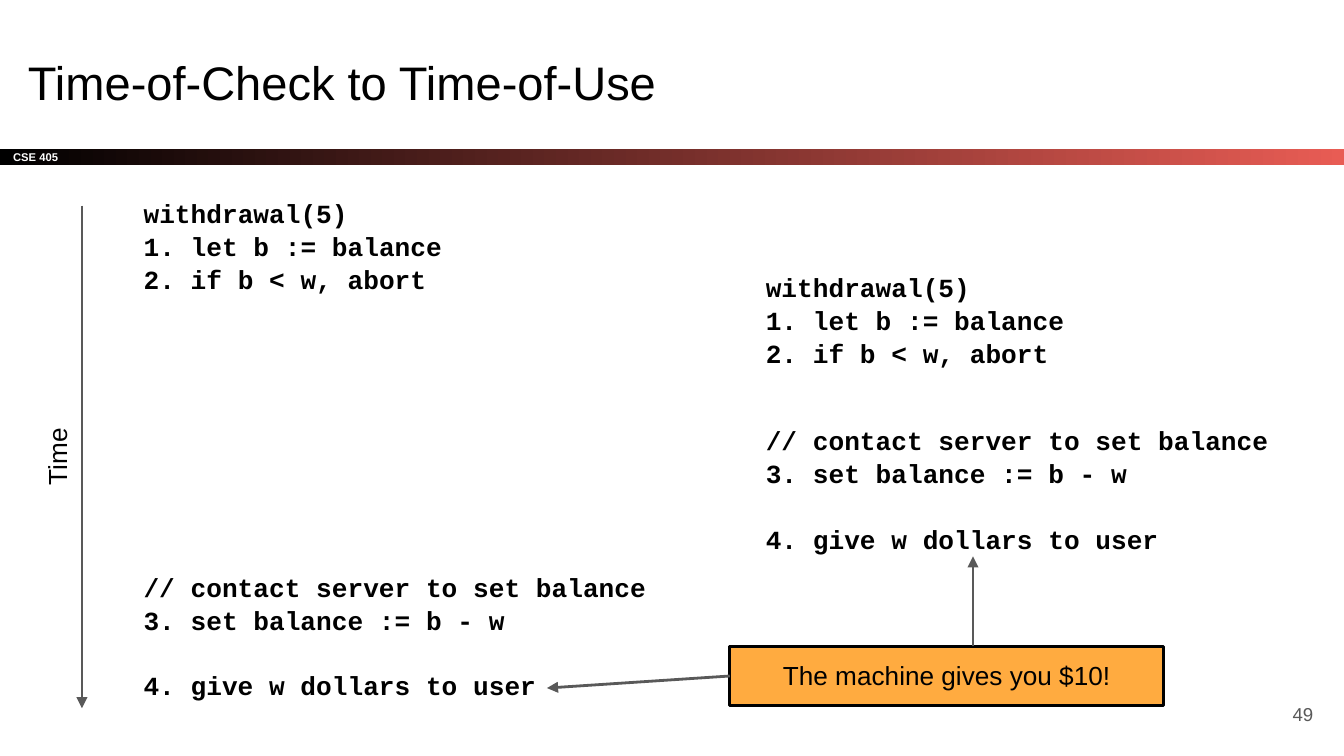
import pptx
import pptx.util
import pptx.dml.color
import pptx.enum.shapes
import pptx.enum.text
import lxml.etree
from dataclasses import dataclass

Inches = pptx.util.Inches
Pt = pptx.util.Pt
Align = pptx.enum.text.PP_ALIGN
Anchor = pptx.enum.text.MSO_ANCHOR
Kind = pptx.enum.shapes.MSO_SHAPE


@dataclass
class Theme:
    black: str = "000000"
    white: str = "FFFFFF"
    gray: str = "595959"
    coral: str = "E85C54"
    amber: str = "FFAB40"
    sans: str = "Arial"
    mono: str = "Courier New"
    title: float = 25.2
    body: float = 14
    page: float = 10
    tag: float = 6


theme = Theme()


def tint(code):
    return pptx.dml.color.RGBColor.from_string(code)


def write(shape, parts, size=theme.body, name=theme.sans, color=theme.black,
          bold=False, align=Align.LEFT, anchor=Anchor.TOP, lead=1.0):
    frame = shape.text_frame
    edge = Inches(0.1)
    form = dict(word_wrap=True, vertical_anchor=anchor, margin_left=edge,
                margin_right=edge, margin_top=edge, margin_bottom=edge)
    for key, value in form.items():
        setattr(frame, key, value)
    for i, (text, gap) in enumerate(parts):
        para = frame.paragraphs[0] if i == 0 else frame.add_paragraph()
        para.text = text
        look = dict(alignment=align, line_spacing=lead, space_before=Pt(gap))
        for key, value in look.items():
            setattr(para, key, value)
        for run in para.runs:
            face = dict(name=name, size=Pt(size), bold=bold)
            for key, value in face.items():
                setattr(run.font, key, value)
            run.font.color.rgb = tint(color)


deck = pptx.Presentation()
deck.slide_width = Inches(10)
deck.slide_height = Inches(10) * 9 // 16
slide = deck.slides.add_slide(deck.slide_layouts[6])
shapes = slide.shapes

band = shapes.add_shape(Kind.RECTANGLE, Inches(0), Inches(1.11), Inches(10), Inches(0.12))
band.shadow.inherit = False
band.line.fill.background()
band.fill.gradient()
band.fill.gradient_angle = 0
for stop, color, place in zip(band.fill.gradient_stops, (theme.black, theme.coral), (0, 1)):
    stop.color.rgb = tint(color)
    stop.position = place
write(band, [("CSE 405", 0)], size=theme.tag, color=theme.white, bold=True,
      anchor=Anchor.MIDDLE)

check = [("withdrawal(5)\n1. let b := balance\n2. if b < w, abort", 0)]
contact = "// contact server to set balance\n3. set balance := b - w"
give = ("4. give w dollars to user", 17.5)
code = dict(name=theme.mono, bold=True, lead=1.05)

texts = [
    ((0.11, 0.3, 9.32, 0.63), [("Time-of-Check to Time-of-Use", 0)],
     dict(size=theme.title)),
    ((9.27, 5.1, 0.6, 0.43), [("49", 0)],
     dict(size=theme.page, color=theme.gray, align=Align.RIGHT, anchor=Anchor.MIDDLE)),
    ((0.97, 1.36, 4.52, 1.13), check, code),
    ((5.6, 1.91, 4.07, 3.57), check + [(contact, 29.2), give], code),
    ((0.97, 4.14, 4.26, 1.18), [(contact, 0), give], code),
    ((-1.42, 3.18, 3.69, 0.44), [("Time", 0)], dict(align=Align.CENTER)),
]
for spot, parts, style in texts:
    label = shapes.add_textbox(*map(Inches, spot))
    write(label, parts, **style)
label.rotation = 270

box = shapes.add_shape(Kind.RECTANGLE, Inches(5.43), Inches(4.81), Inches(3.23), Inches(0.44))
box.shadow.inherit = False
box.fill.solid()
box.fill.fore_color.rgb = tint(theme.amber)
box.line.color.rgb = tint(theme.black)
box.line.width = Pt(1.5)
write(box, [("The machine gives you $10!", 0)], align=Align.CENTER)

arrows = [
    ((5.43, 5.03, 4.07, 5.12), 1.5, 1),
    ((7.24, 4.81, 7.24, 4.14), 1.5, None),
    ((0.61, 1.53, 0.61, 5.27), 0.75, None),
]
for ends, width, side in arrows:
    arrow = shapes.add_connector(pptx.enum.shapes.MSO_CONNECTOR.STRAIGHT, *map(Inches, ends))
    if side is not None:
        arrow.begin_connect(box, side)
    arrow.line.color.rgb = tint(theme.gray)
    arrow.line.width = Pt(width)
    tip = lxml.etree.SubElement(arrow.line._get_or_add_ln(), pptx.oxml.ns.qn("a:tailEnd"))
    tip.set("type", "triangle")
    lxml.etree.SubElement(arrow._element.spPr, pptx.oxml.ns.qn("a:effectLst"))

deck.save("out.pptx")
